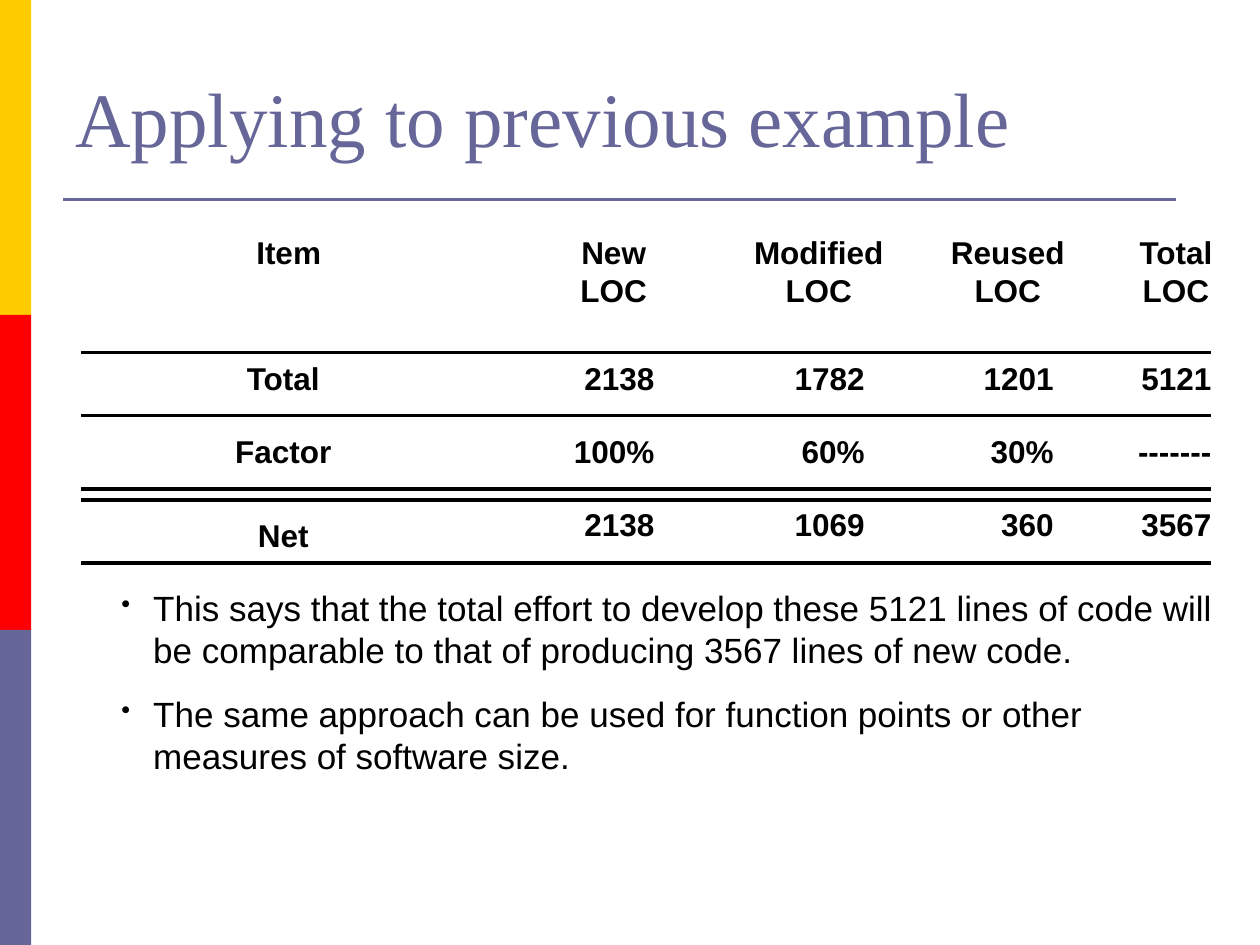
from dataclasses import dataclass

from lxml import etree
from pptx import Presentation
from pptx.dml.color import RGBColor
from pptx.enum.shapes import MSO_CONNECTOR, MSO_SHAPE
from pptx.enum.text import MSO_ANCHOR, PP_ALIGN
from pptx.oxml.ns import qn
from pptx.util import Cm, Pt

RECTANGLE = MSO_SHAPE.RECTANGLE
STRAIGHT = MSO_CONNECTOR.STRAIGHT
MIDDLE, TOP = MSO_ANCHOR.MIDDLE, MSO_ANCHOR.TOP
CENTER, RIGHT = PP_ALIGN.CENTER, PP_ALIGN.RIGHT


@dataclass(frozen=True)
class Theme:
    yellow = RGBColor(0xFF, 0xCC, 0x00)
    red = RGBColor(0xFF, 0x00, 0x00)
    slate = RGBColor(0x66, 0x66, 0x99)
    black = RGBColor(0x00, 0x00, 0x00)
    title_font = "Times New Roman"
    body_font = "Arial"
    title_size = Pt(44)
    table_size = Pt(18)
    body_size = Pt(20)
    heading_rule = Pt(1.5)
    table_rule = Pt(2)


THEME = Theme()


def style(paragraph, face, size, color, bold=False):
    font = paragraph.font
    font.name, font.size, font.bold = face, size, bold
    font.color.rgb = color


def add_rule(left, right, y, color, width):
    rule = slide.shapes.add_connector(STRAIGHT, Cm(left), Cm(y), Cm(right), Cm(y))
    rule.line.color.rgb = color
    rule.line.width = width
    etree.SubElement(rule._element.spPr, qn("a:effectLst"))


deck = Presentation()
deck.slide_width, deck.slide_height = Cm(25.4), Cm(19.05)
slide = deck.slides.add_slide(deck.slide_layouts[6])

# Side bands and heading
BAND_HEIGHT = 6.35
for index, color in enumerate((THEME.yellow, THEME.red, THEME.slate)):
    band = slide.shapes.add_shape(
        RECTANGLE, 0, Cm(index * BAND_HEIGHT), Cm(0.63), Cm(BAND_HEIGHT))
    band.shadow.inherit = False
    band.fill.solid()
    band.fill.fore_color.rgb = color
    band.line.fill.background()

add_rule(1.27, 23.7, 4.02, THEME.slate, THEME.heading_rule)

heading = slide.shapes.add_textbox(Cm(1.27), Cm(0.76), Cm(22.86), Cm(3.18)).text_frame
heading.word_wrap = True
heading.vertical_anchor = MIDDLE
heading.text = "Applying to previous example"
style(heading.paragraphs[0], THEME.title_font, THEME.title_size, THEME.slate)

# Effort table; margins are in cm
ROWS = [
    ("Item", "New LOC", "Modified LOC", "Reused LOC", "Total LOC"),
    ("Total", "2138", "1782", "1201", "5121"),
    ("Factor", "100%", "60%", "30%", "-------"),
    ("Net", "2138", "1069", "360", "3567"),
]
COLUMN_WIDTHS = [8.92, 3.68, 4.57, 3.05, 2.67]
ROW_HEIGHTS = [2.54, 1.27, 1.47, 1.5]
HEADER_MARGINS = [(0, 0.54), (0.68, 0.72), (0.7, 0.72), (0.1, 0.12), (1.04, 0)]
VALUE_MARGINS = [(0, 0.76), (0, 1.04), (0, 1.37), (0, 0.61), (0, 0.1)]
TOP_MARGINS = [0.13, 0.13, 0.33, 0.33]
NET_LABEL_MARGIN = 0.56
LINE_SPACING = 1.08
TABLE_LEFT, TABLE_TOP = 1.63, 4.57
NO_STYLE = "{2D5ABB26-0587-4C30-8999-92F81FD0307C}"

effort = slide.shapes.add_table(
    len(ROWS), len(COLUMN_WIDTHS), Cm(TABLE_LEFT), Cm(TABLE_TOP),
    Cm(sum(COLUMN_WIDTHS)), Cm(sum(ROW_HEIGHTS))).table
effort.first_row = effort.horz_banding = False
effort._tbl.tblPr.find(qn("a:tableStyleId")).text = NO_STYLE
for column, width in zip(effort.columns, COLUMN_WIDTHS):
    column.width = Cm(width)
for row, height in zip(effort.rows, ROW_HEIGHTS):
    row.height = Cm(height)

for r, values in enumerate(ROWS):
    for c, value in enumerate(values):
        cell = effort.cell(r, c)
        left, right = (VALUE_MARGINS if r else HEADER_MARGINS)[c]
        top = NET_LABEL_MARGIN if value == "Net" else TOP_MARGINS[r]
        cell.margin_left, cell.margin_right = Cm(left), Cm(right)
        cell.margin_top, cell.margin_bottom = Cm(top), 0
        cell.vertical_anchor = TOP
        cell.fill.background()
        cell.text = value
        entry = cell.text_frame.paragraphs[0]
        entry.alignment = RIGHT if r and c else CENTER
        entry.line_spacing = LINE_SPACING
        style(entry, THEME.body_font, THEME.table_size, THEME.black, bold=True)

# Rules below each row, with a double one above the net row
for y in (7.11, 8.38, 9.86, 10.08, 11.35):
    add_rule(TABLE_LEFT, 24.41, y, THEME.black, THEME.table_rule)

# Conclusions
CONCLUSIONS = [
    "This says that the total effort to develop these 5121 lines of code will "
    "be comparable to that of producing 3567 lines of new code.",
    "The same approach can be used for function points or other measures of "
    "software size.",
]
conclusions = slide.shapes.add_textbox(
    Cm(2.2), Cm(11.7), Cm(22.68), Cm(4.06)).text_frame
conclusions.word_wrap = True
conclusions.text = "\n".join(CONCLUSIONS)
for index, conclusion in enumerate(conclusions.paragraphs):
    properties = conclusion._p.get_or_add_pPr()
    properties.set("marL", str(Cm(0.64)))
    properties.set("indent", str(-Cm(0.64)))
    bullet_color = etree.SubElement(properties, qn("a:buClr"))
    etree.SubElement(bullet_color, qn("a:srgbClr"), val=str(THEME.black))
    etree.SubElement(properties, qn("a:buSzPct"), val="75000")
    etree.SubElement(properties, qn("a:buChar"), char="•")
    if index:
        conclusion.space_before = Pt(12.5)
    style(conclusion, THEME.body_font, THEME.body_size, THEME.black)

deck.save("out.pptx")
